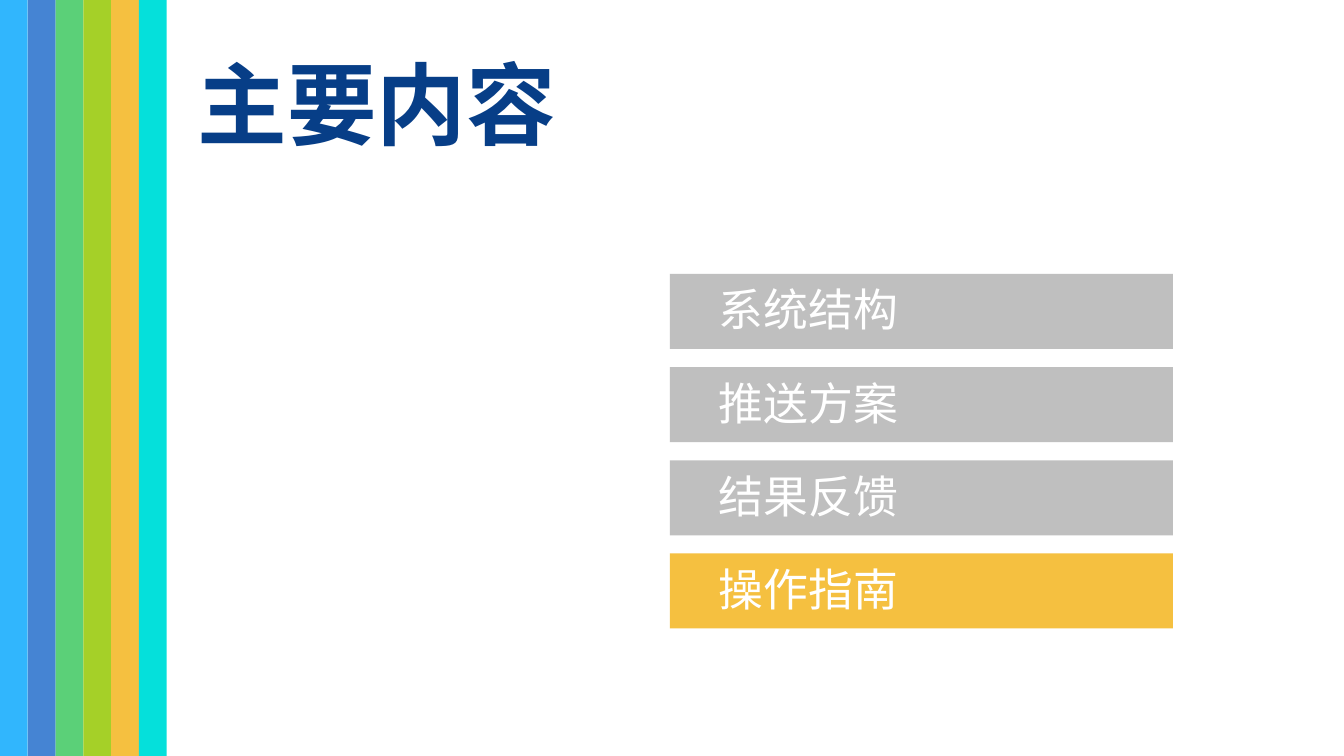
"""Build the contents slide with its current section highlighted."""
import pptx
import pptx.dml.color
import pptx.enum.shapes
import pptx.enum.text
import pptx.oxml.ns
import pptx.util
from lxml import etree

Pt = pptx.util.Pt
prs = pptx.Presentation()
prs.slide_width, prs.slide_height = Pt(720), Pt(405)
s = prs.slides.add_slide(prs.slide_layouts[6])


def add_rect(x, y, w, h, color):
    sp = s.shapes.add_shape(
        pptx.enum.shapes.MSO_SHAPE.RECTANGLE, Pt(x), Pt(y), Pt(w), Pt(h))
    sp.shadow.inherit = False
    sp.fill.solid()
    sp.fill.fore_color.rgb = pptx.dml.color.RGBColor.from_string(color)
    sp.line.fill.background()


def add_text(x, y, w, h, text, size, font, color, bold=False):
    tf = s.shapes.add_textbox(Pt(x), Pt(y), Pt(w), Pt(h)).text_frame
    tf.word_wrap = True
    tf.margin_top = tf.margin_bottom = 0
    tf.vertical_anchor = pptx.enum.text.MSO_ANCHOR.MIDDLE
    p = tf.paragraphs[0]
    p.text = text
    p.font.size, p.font.name, p.font.bold = Pt(size), font, bold
    p.font.color.rgb = pptx.dml.color.RGBColor.from_string(color)
    props = p._p.pPr.find(pptx.oxml.ns.qn("a:defRPr"))
    etree.SubElement(props, pptx.oxml.ns.qn("a:ea"), typeface="Noto Sans CJK SC")


stripes = ["31B6FD", "4584D3", "5BD078", "A5D028", "F5C040", "05E0DB"]
stripe_w = 14.88
for i, color in enumerate(stripes):
    add_rect(i * stripe_w, 0, stripe_w, 405, color)

sections = ["系统结构", "推送方案", "结果反馈", "操作指南"]
current = "操作指南"
for i, section in enumerate(sections):
    y = 146.8 + i * 49.9
    add_rect(358.8, y, 269.5, 40.2, "F5C040" if section == current else "BFBFBF")
    add_text(378, y + 0.8, 250, 36, section, 24, "Noto Sans CJK SC", "FFFFFF")

add_text(98.8, 22, 279.5, 66, "主要内容", 48, "TeX Gyre Adventor", "073E87", True)

prs.save("out.pptx")
